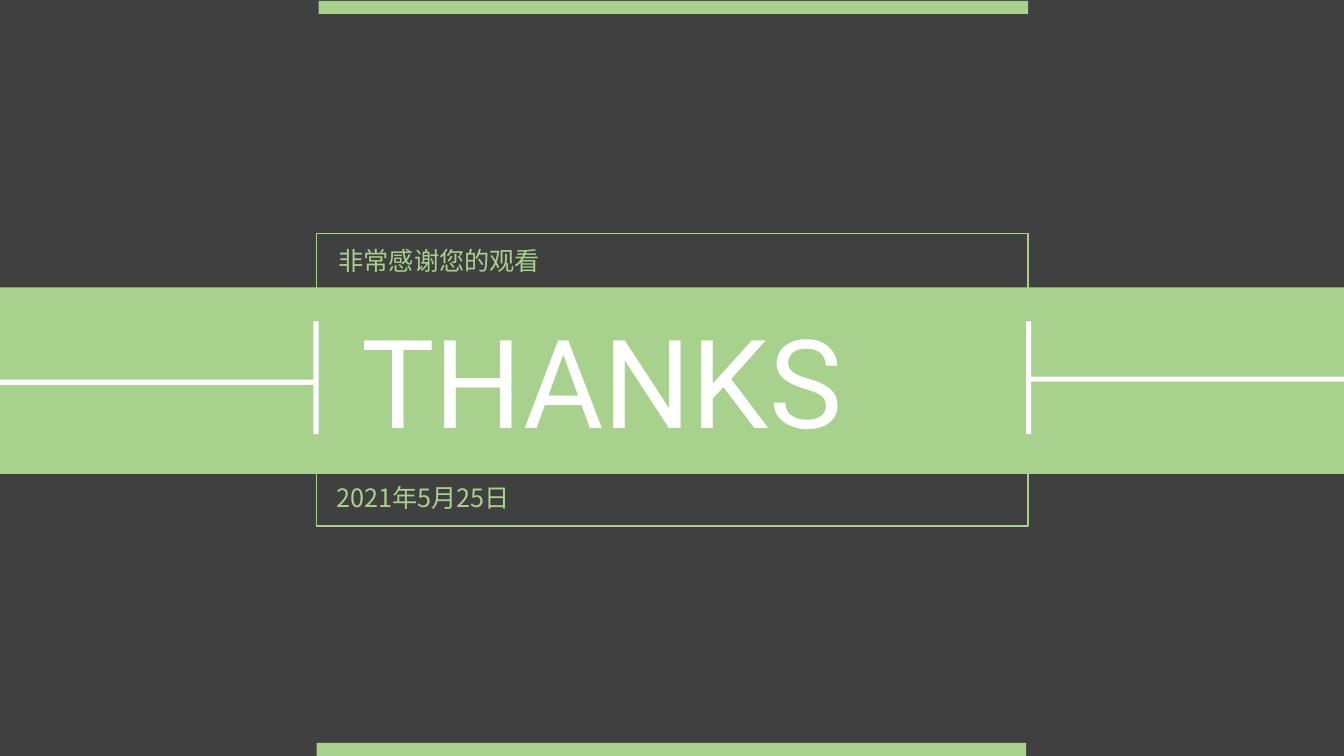
from lxml import etree
from pptx import Presentation
from pptx import util as u
from pptx.dml.color import RGBColor
from pptx.enum import shapes, text
from pptx.oxml.ns import qn

WIDTH, HEIGHT = 33.87, 19.05
GREEN, WHITE, DARK = "A9D18E", "FFFFFF", "404040"
CJK_FONT = "Noto Sans CJK SC"
FRAME = (7.98, 5.89, 17.93, 7.37)
EDGE_WIDTH, EDGE_HEIGHT, EDGE_TOP = 0.13, 2.84, 8.1
EDGE_LEFTS = (7.9, 25.86)
STRIP_WIDTH, STRIP_HEIGHT = 17.88, 0.33

LINES = [
    ("非常感谢您的观看", (8.28, 6.05, 17.4, 1.03), 18, "Arial", GREEN),
    ("2021年5月25日", (8.23, 12.04, 17.4, 1.02), 18, CJK_FONT, GREEN),
    ("THANKS", (8.86, 7.57, 16.13, 4.01), 88, "Roboto", WHITE),
]


def color(value):
    return RGBColor.from_string(value)


def add_bar(page, place, fill=None, line=None):
    bar = page.shapes.add_shape(shapes.MSO_SHAPE.RECTANGLE, *map(u.Cm, place))
    bar.shadow.inherit = False
    if fill:
        bar.fill.solid()
        bar.fill.fore_color.rgb = color(fill)
    else:
        bar.fill.background()
    if line:
        bar.line.color.rgb = color(line)
        bar.line.width = u.Pt(1)
    else:
        bar.line.fill.background()


def add_line(page, words, place, size, font, tint):
    box = page.shapes.add_textbox(*map(u.Cm, place))
    frame = box.text_frame
    frame.word_wrap = True
    frame.auto_size = text.MSO_AUTO_SIZE.SHAPE_TO_FIT_TEXT
    para = frame.paragraphs[0]
    para.alignment = text.PP_ALIGN.JUSTIFY
    span = para.add_run()
    span.text = words
    span.font.size = u.Pt(size)
    span.font.name = font
    span.font.color.rgb = color(tint)
    latin = span.font._element.find(qn("a:latin"))
    east_asian = etree.Element(qn("a:ea"), typeface=CJK_FONT)
    latin.addnext(east_asian)


def main():
    deck = Presentation()
    deck.slide_width, deck.slide_height = u.Cm(WIDTH), u.Cm(HEIGHT)
    page = deck.slides.add_slide(deck.slide_layouts[6])

    add_bar(page, (0, 0, WIDTH, HEIGHT), DARK)
    add_bar(page, (0, 7.24, WIDTH, 4.7), GREEN)
    add_bar(page, FRAME, line=GREEN)
    for line in LINES:
        add_line(page, *line)

    for left in EDGE_LEFTS:
        add_bar(page, (left, EDGE_TOP, EDGE_WIDTH, EDGE_HEIGHT), WHITE)
    left_edge, right_edge = EDGE_LEFTS
    add_bar(page, (0, 9.57, left_edge + EDGE_WIDTH / 2, EDGE_WIDTH), WHITE)
    right_start = right_edge + EDGE_WIDTH / 2
    add_bar(page, (right_start, 9.49, WIDTH - right_start, EDGE_WIDTH), WHITE)

    for left, top in ((7.98, HEIGHT - STRIP_HEIGHT), (8.03, 0.02)):
        add_bar(page, (left, top, STRIP_WIDTH, STRIP_HEIGHT), GREEN)

    deck.save("out.pptx")


if __name__ == "__main__":
    main()
